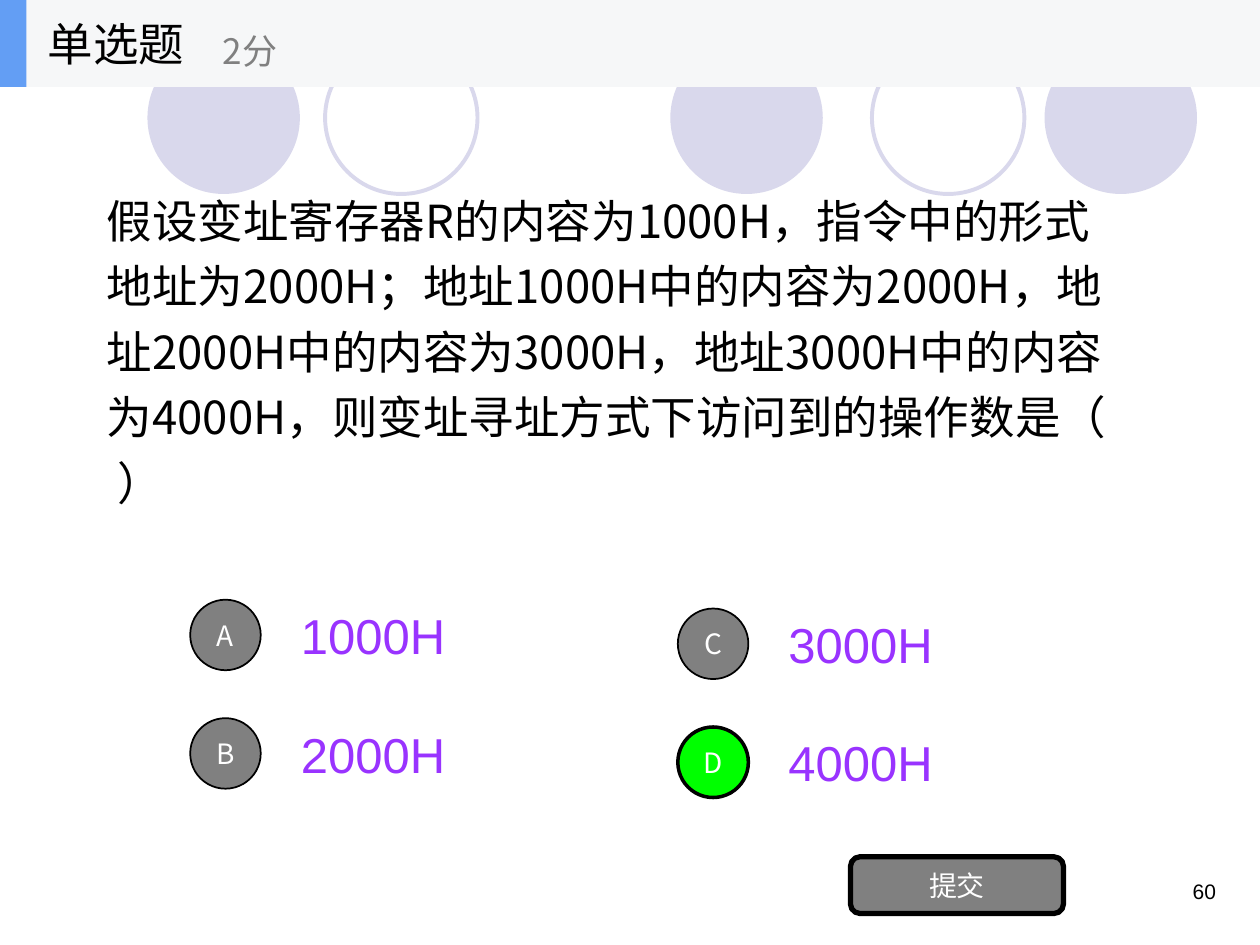
from dataclasses import dataclass

from lxml import etree
from pptx import Presentation
from pptx.dml.color import RGBColor
from pptx.enum.shapes import MSO_SHAPE
from pptx.enum.text import MSO_ANCHOR, PP_ALIGN
from pptx.oxml.ns import qn
from pptx.util import Inches, Pt

OVAL = MSO_SHAPE.OVAL
RECT = MSO_SHAPE.RECTANGLE
ROUND = MSO_SHAPE.ROUNDED_RECTANGLE
MIDDLE = MSO_ANCHOR.MIDDLE
TOP = MSO_ANCHOR.TOP
LEFT = PP_ALIGN.LEFT
CENTER = PP_ALIGN.CENTER
RIGHT = PP_ALIGN.RIGHT


@dataclass(frozen=True)
class Theme:
    black: str = "000000"
    white: str = "FFFFFF"
    gray: str = "808080"
    green: str = "00FF00"
    purple: str = "9933FF"
    lilac: str = "D9D8EC"
    band: str = "F6F7F8"
    blue: str = "639EF4"
    sans: str = "Arial"
    han: str = "Noto Sans CJK SC"
    title: int = 26
    points: int = 20
    choice: int = 28
    label: int = 16
    number: int = 12


def write(frame, text, *, size, color, face, align=LEFT, anchor=MIDDLE, space=None):
    frame.word_wrap = True
    frame.vertical_anchor = anchor
    para = frame.paragraphs[0]
    para.alignment = align
    if space:
        para.line_spacing = space
    run = para.add_run()
    run.text = text
    run.font.size = Pt(size)
    run.font.color.rgb = RGBColor.from_string(color)
    run.font.name = face
    east = etree.SubElement(run.font._element, qn("a:ea"))
    east.set("typeface", face)


class Deck:
    def __init__(self, theme):
        self.theme = theme
        self.show = Presentation()
        self.show.slide_width = Inches(10)
        self.show.slide_height = Inches(7.5)
        self.slide = self.show.slides.add_slide(self.show.slide_layouts[6])

    def shape(self, kind, box, fill=None, line=None, width=1):
        item = self.slide.shapes.add_shape(kind, *map(Inches, box))
        item.shadow.inherit = False
        if fill:
            item.fill.solid()
            item.fill.fore_color.rgb = RGBColor.from_string(fill)
        else:
            item.fill.background()
        if line:
            item.line.color.rgb = RGBColor.from_string(line)
            item.line.width = Pt(width)
        else:
            item.line.fill.background()
        return item

    def text(self, box, words, **form):
        item = self.slide.shapes.add_textbox(*map(Inches, box))
        write(item.text_frame, words, **form)

    def button(self, kind, box, words, fill, width):
        item = self.shape(kind, box, fill, self.theme.black, width)
        write(item.text_frame, words, size=self.theme.label,
              color=self.theme.white, face=self.theme.han, align=CENTER)

    def choice(self, left, top, letter, words, right=False):
        fill, width = (self.theme.green, 2) if right else (self.theme.gray, 1)
        self.text((left + 0.78, top - 0.07, 1.6, 0.7), words,
                  size=self.theme.choice, color=self.theme.purple,
                  face=self.theme.sans)
        self.button(OVAL, (left, top, 0.56, 0.56), letter, fill, width)


def main():
    theme = Theme()
    deck = Deck(theme)

    for left in (5.32, 8.29, 1.17):
        deck.shape(OVAL, (left, 0.33, 1.21, 1.21), fill=theme.lilac)
    for left in (6.92, 2.58):
        deck.shape(OVAL, (left, 0.33, 1.21, 1.21), line=theme.lilac, width=2.25)

    deck.text((7.42, 6.92, 2.33, 0.5), "60", size=theme.number,
              color=theme.black, face=theme.sans, align=RIGHT, anchor=TOP)
    deck.text((0.75, 1.33, 8.33, 2.83),
              "假设变址寄存器R的内容为1000H，指令中的形式地址为2000H；"
              "地址1000H中的内容为2000H，地址2000H中的内容为3000H，"
              "地址3000H中的内容为4000H，则变址寻址方式下访问到的操作数是（    ）",
              size=theme.title, color=theme.black, face=theme.han, space=1.2)

    columns = ((1.51, 4.76, "AB"), (5.38, 4.83, "CD"))
    for left, top, letters in columns:
        for row, letter in enumerate(letters):
            value = f"{'ABCD'.index(letter) + 1}000H"
            deck.choice(left, top + 0.94 * row, letter, value, letter == "D")

    deck.button(ROUND, (6.75, 6.8, 1.69, 0.45), "提交", theme.gray, 3)

    deck.shape(RECT, (0, 0, 10, 0.69), fill=theme.band)
    deck.shape(RECT, (0, 0, 0.21, 0.69), fill=theme.blue)
    deck.text((0.28, 0, 2.08, 0.69), "单选题", size=theme.title,
              color=theme.black, face=theme.han)
    deck.text((1.67, 0.12, 2.5, 0.56), "2分", size=theme.points,
              color=theme.gray, face=theme.han)

    deck.show.save("out.pptx")


if __name__ == "__main__":
    main()
